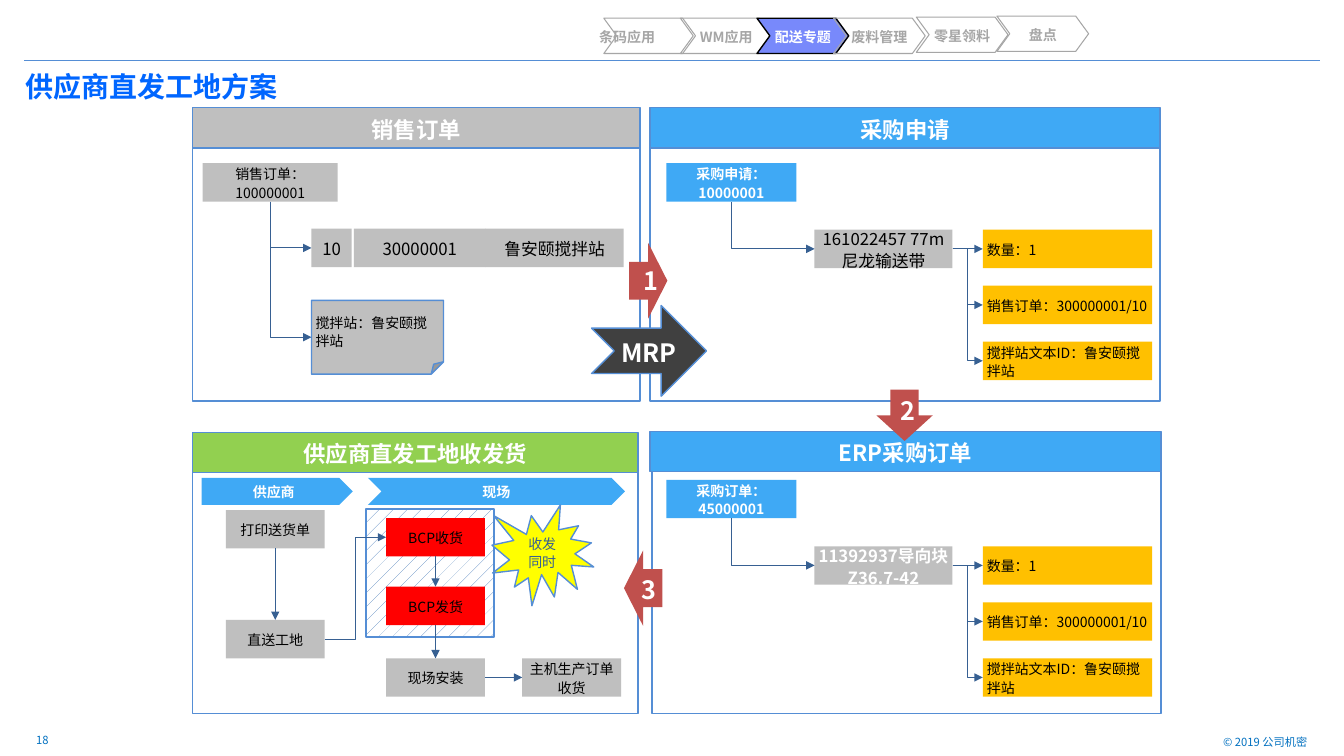
from lxml import etree
from pptx import Presentation
from pptx.dml.color import RGBColor
from pptx.enum import dml, shapes, text
from pptx.oxml import ns
from pptx.util import Pt

FONT = "Noto Sans CJK SC"
GREY, BLUE, AMBER, RED, WHITE, BLACK = "BFBFBF", "3FA9F5", "FFC000", "FF0000", "FFFFFF", "000000"
EDGE, FLOW, MUTED, BADGE = "558ED5", "376092", "A6A6A6", "C0504D"
BOX_HEIGHT, HEADER_HEIGHT = 27.4, 28.8
TOP, LEFT, BOTTOM, RIGHT = range(4)
KIND, ALIGN, ANCHOR = shapes.MSO_SHAPE, text.PP_ALIGN, text.MSO_ANCHOR


def rgb(value):
    return RGBColor.from_string(value)


def write(shape, words, size, color, bold=False, align=ALIGN.CENTER, anchor=ANCHOR.MIDDLE,
          insets=(2.9, 2.9, 2.9, 2.9), spacing=1.1, before=0, wrap=True):
    frame = shape.text_frame
    frame.text = words
    frame.word_wrap = wrap
    frame.vertical_anchor = anchor
    frame.margin_left, frame.margin_top, frame.margin_right, frame.margin_bottom = map(Pt, insets)
    for paragraph in frame.paragraphs:
        paragraph.alignment = align
        paragraph.line_spacing = spacing
        paragraph.space_before = Pt(before)
        for run in paragraph.runs:
            run.font.name, run.font.size, run.font.bold = FONT, Pt(size), bold
            run.font.color.rgb = rgb(color)
            east_asian = etree.SubElement(run.font._element, ns.qn("a:ea"))
            east_asian.set("typeface", FONT)


def add_block(slide, kind, left, top, width, height, fill=None, line=None, weight=1.0):
    shape = slide.shapes.add_shape(kind, Pt(left), Pt(top), Pt(width), Pt(height))
    shape.shadow.inherit = False
    if fill:
        shape.fill.solid()
        shape.fill.fore_color.rgb = rgb(fill)
    else:
        shape.fill.background()
    if line:
        shape.line.color.rgb = rgb(line)
        shape.line.width = Pt(weight)
    else:
        shape.line.fill.background()
    return shape


def add_box(slide, words, left, top, width, fill=GREY, size=10, color=BLACK, bold=False,
            align=ALIGN.CENTER):
    box = add_block(slide, KIND.RECTANGLE, left, top, width, BOX_HEIGHT, fill)
    write(box, words, size, color, bold, align)
    return box


def add_label(slide, words, left, top, width, height, size, color, **style):
    label = slide.shapes.add_textbox(Pt(left), Pt(top), Pt(width), Pt(height))
    write(label, words, size, color, insets=(7.2, 3.6, 7.2, 3.6), spacing=1.0, **style)


def add_line(slide, kind, start, end, color=FLOW, arrow=True):
    """Draw a line between two points given in EMU."""
    connector = slide.shapes.add_connector(kind, *map(int, (*start, *end)))
    connector.line.color.rgb = rgb(color)
    connector.line.width = Pt(0.75)
    if arrow:
        line = connector.line._get_or_add_ln()
        etree.SubElement(line, ns.qn("a:tailEnd")).set("type", "triangle")
    etree.SubElement(connector._element.spPr, ns.qn("a:effectLst"))
    return connector


def side_point(shape, side):
    x = shape.left + shape.width * {LEFT: 0, RIGHT: 1}.get(side, 0.5)
    y = shape.top + shape.height * {TOP: 0, BOTTOM: 1}.get(side, 0.5)
    return x, y


def join(slide, source, source_side, target, target_side, kind=shapes.MSO_CONNECTOR.STRAIGHT):
    connector = add_line(slide, kind, side_point(source, source_side), side_point(target, target_side))
    connector.begin_connect(source, source_side)
    connector.end_connect(target, target_side)


def branch_down(slide, source, target):
    """Run down from the source's bottom, then right to the target: a turned, flipped single bend."""
    (x1, y1), (x2, y2) = side_point(source, BOTTOM), side_point(target, LEFT)
    x, y, half_run, half_drop = (x1 + x2) / 2, (y1 + y2) / 2, (x2 - x1) / 2, (y2 - y1) / 2
    connector = add_line(slide, shapes.MSO_CONNECTOR.ELBOW,
                         (x - half_drop, y - half_run), (x + half_drop, y + half_run))
    properties = connector._element.spPr
    properties.find(ns.qn("a:prstGeom")).set("prst", "bentConnector2")
    frame = properties.find(ns.qn("a:xfrm"))
    frame.set("rot", "16200000")
    frame.set("flipH", "1")


def add_panel(slide, title, left, top, width, height, fill, body_inset=0):
    add_block(slide, KIND.RECTANGLE, left + body_inset, top + HEADER_HEIGHT, width - body_inset,
              height - HEADER_HEIGHT, line=EDGE)
    header = add_block(slide, KIND.RECTANGLE, left, top, width, HEADER_HEIGHT, fill, EDGE)
    write(header, title, 16, WHITE, bold=True)


def add_navigation(slide):
    tabs = [("条码应用\t", 431.3, 13), ("WM应用", 486, 13), ("配送专题", 540.7, 13),
            ("废料管理", 595.4, 13), ("零星领料", 654.5, 12.2), ("盘点", 712.1, 11.5)]
    for words, left, top in tabs:
        active = words == "配送专题"
        tab = add_block(slide, KIND.CHEVRON, left, top, 65.5, 25.2, "7889FB" if active else None,
                        BLACK if active else MUTED, 1 if active else 0.75)
        tab.adjustments[0] = 0.365
        write(tab, words, 10, WHITE if active else MUTED, bold=True,
              insets=(7.2, 5.8, 7.2, 2.9), spacing=0.9, before=2, wrap=False)


def add_frame(slide):
    """Place the title, the rule above it and the footer."""
    title = slide.shapes.title
    title.left, title.top, title.width, title.height = map(Pt, (12.2, 50.4, 204.5, 25.2))
    write(title, "供应商直发工地方案", 20, "0066FF", bold=True, align=ALIGN.LEFT,
          insets=(5.8, 3.6, 5.8, 3.6), spacing=0.9, wrap=False)
    add_line(slide, shapes.MSO_CONNECTOR.STRAIGHT, (Pt(17.3), Pt(43.2)), (Pt(943.2), Pt(43.2)),
             EDGE, arrow=False)
    add_label(slide, "© 2019 公司机密", 797, 522, 144, 14.4, 8, "0070C0",
              align=ALIGN.RIGHT, anchor=ANCHOR.TOP)
    add_label(slide, "18", 18.7, 519.8, 67.7, 17.3, 8, "0070C0", align=ALIGN.LEFT, before=4)


def add_sales_order(slide, left, top, width, height):
    add_panel(slide, "销售订单", left, top, width, height, GREY)
    order = add_box(slide, "销售订单：100000001", left + 7.2, top + 39.6, 96.5)
    cells = [("10", 85, 28.8), ("30000001", 115.2, 94.3), ("鲁安颐搅拌站", 209.5, 98.6)]
    line_item = [add_box(slide, words, left + x, top + 86.4, cell_width, size=12)
                 for words, x, cell_width in cells]
    note = add_block(slide, KIND.FOLDED_CORNER, left + 85, top + 137.6, 94.3, 52.6, GREY, EDGE)
    write(note, "搅拌站：鲁安颐搅拌站", 10, BLACK, align=ALIGN.LEFT)
    for target in (line_item[0], note):
        branch_down(slide, order, target)


def add_purchase(slide, left, top, document, item, **item_style):
    """Place a purchase document, its item and the item's three details."""
    root = add_box(slide, document, left, top, 92.9, BLUE, color=WHITE, bold=True)
    material = add_box(slide, item, left + 105.9, top + 47.5, 98.6, size=12, **item_style)
    branch_down(slide, root, material)
    for row, words in enumerate(["数量：1", "销售订单：300000001/10", "搅拌站文本ID：鲁安颐搅拌站"]):
        detail = add_box(slide, words, left + 226.1, top + 47.5 + 40 * row, 121, AMBER,
                         align=ALIGN.LEFT)
        kind = shapes.MSO_CONNECTOR.ELBOW if row else shapes.MSO_CONNECTOR.STRAIGHT
        join(slide, material, RIGHT, detail, LEFT, kind)


def add_receipt(slide, left, top, width, height):
    add_panel(slide, "供应商直发工地收发货", left, top, width, height, "92D050")
    for words, kind, x, lane_width in [("供应商", KIND.PENTAGON, 6.5, 108),
                                       ("现场", KIND.CHEVRON, 125.3, 183.6)]:
        lane = add_block(slide, kind, left + x, top + 32.4, lane_width, 19.4, BLUE)
        write(lane, words, 10, WHITE, bold=True)
    zone = add_block(slide, KIND.RECTANGLE, left + 123.9, top + 54.7, 91.4, 91.4, line=EDGE)
    zone.fill.patterned()
    zone.fill.pattern = dml.MSO_PATTERN.PERCENT_5
    zone.fill.fore_color.rgb = rgb("4F81BD")
    zone.fill.back_color.rgb = rgb(WHITE)

    steps = [("打印送货单", 23.8, 55.4, GREY), ("直送工地", 23.8, 133.9, GREY),
             ("BCP收货", 138.3, 61.2, RED), ("BCP发货", 138.3, 110.2, RED),
             ("现场安装", 138.3, 161.3, GREY), ("主机生产订单收货", 235.5, 161.3, GREY)]
    printing, delivery, receiving, issuing, installing, completion = [
        add_box(slide, words, left + x, top + y, 70.6, fill) for words, x, y, fill in steps]
    for source, target in [(printing, delivery), (receiving, issuing), (issuing, installing)]:
        join(slide, source, BOTTOM, target, TOP)
    join(slide, delivery, RIGHT, receiving, LEFT, shapes.MSO_CONNECTOR.ELBOW)
    join(slide, installing, RIGHT, completion, LEFT)

    burst = add_block(slide, KIND.EXPLOSION1, left + 213.9, top + 51.8, 72.7, 72, "FFFF00", EDGE)
    write(burst, "收发\n同时", 10, FLOW)


def add_stage_arrows(slide):
    mrp = add_block(slide, KIND.NOTCHED_RIGHT_ARROW, 422.6, 218.2, 82.1, 64.8, "404040", EDGE)
    write(mrp, "MRP", 18, WHITE, bold=True)
    badges = [("1", KIND.RIGHT_ARROW, (449.3, 173.5, 27.4, 54), (452.9, 185.8)),
              ("2", KIND.DOWN_ARROW, (626, 278.3, 40.3, 36.7), (636.5, 278.6)),
              ("3", KIND.LEFT_ARROW, (445.7, 393.1, 27.4, 54), (451.4, 406.8))]
    for number, kind, box, (left, top) in badges:
        add_block(slide, kind, *box, BADGE)
        add_label(slide, number, left, top, 18.7, 28.8, 18, WHITE, bold=True,
                  align=ALIGN.LEFT, anchor=ANCHOR.TOP, wrap=False)


def main():
    presentation = Presentation()
    presentation.slide_width, presentation.slide_height = Pt(960), Pt(540)
    slide = presentation.slides.add_slide(presentation.slide_layouts[5])
    add_frame(slide)
    add_navigation(slide)
    add_sales_order(slide, 137.5, 77, 319.7, 209.5)
    add_panel(slide, "采购申请", 464.4, 77, 364.3, 209.5, BLUE)
    add_purchase(slide, 475.9, 116.6, "采购申请：10000001", "161022457 77m尼龙输送带")
    add_panel(slide, "ERP采购订单", 464.4, 308.2, 365, 201.6, BLUE, body_inset=1.4)
    add_purchase(slide, 475.9, 342.7, "采购订单：45000001", "11392937导向块Z36.7-42",
                 color=WHITE, bold=True)
    add_receipt(slide, 137.5, 308.9, 318.2, 200.9)
    add_stage_arrows(slide)
    presentation.save("out.pptx")


if __name__ == "__main__":
    main()
